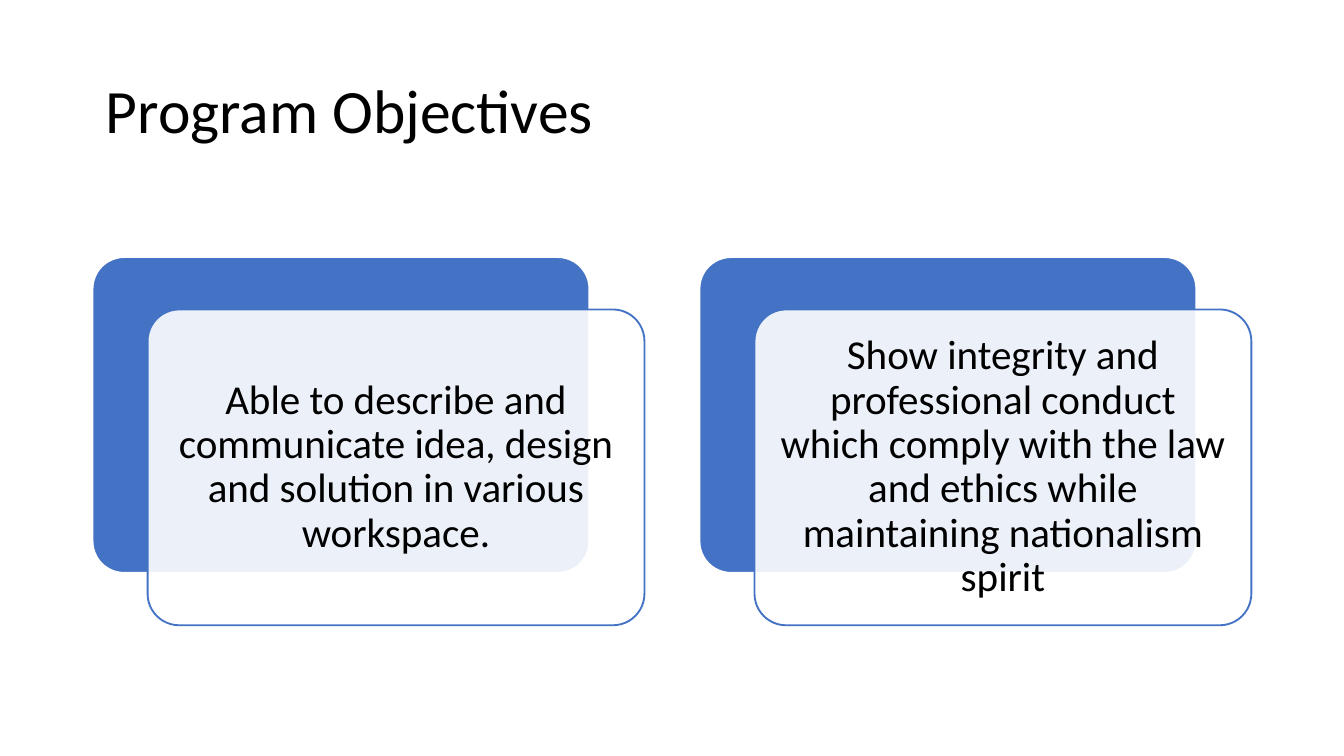
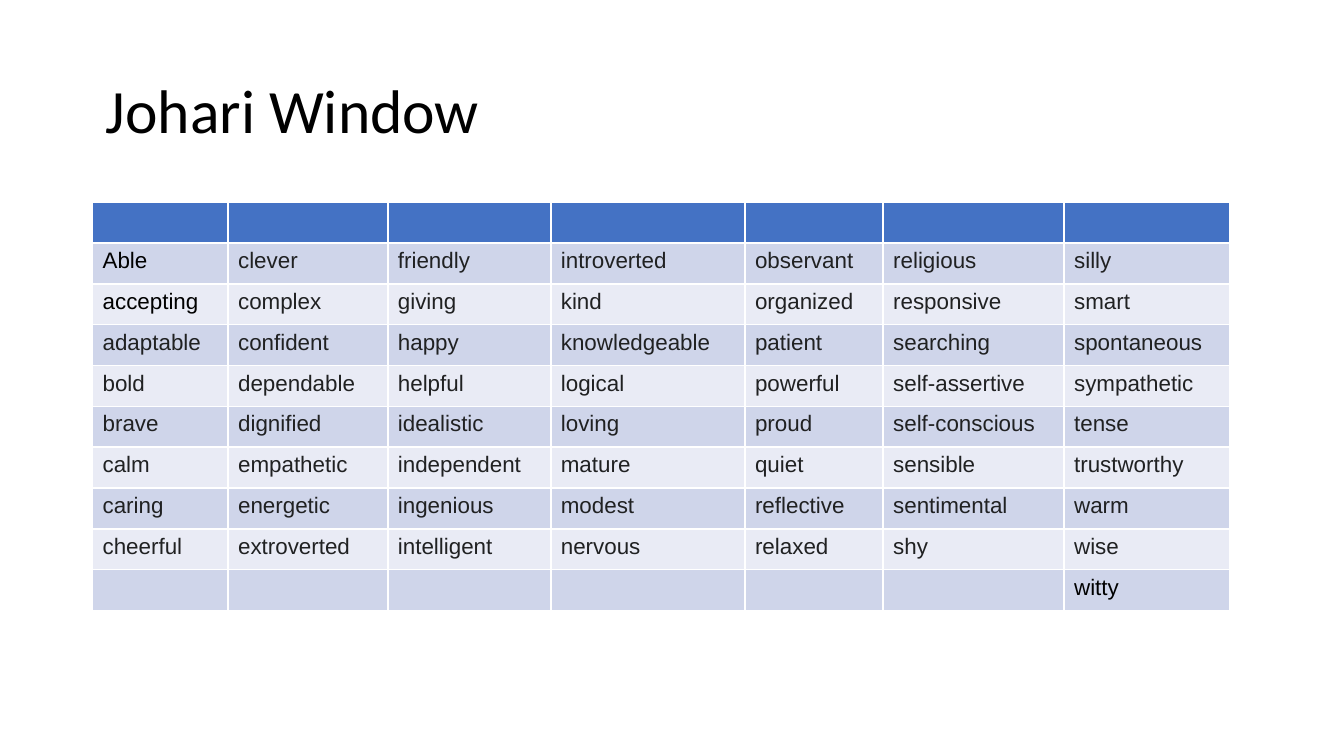
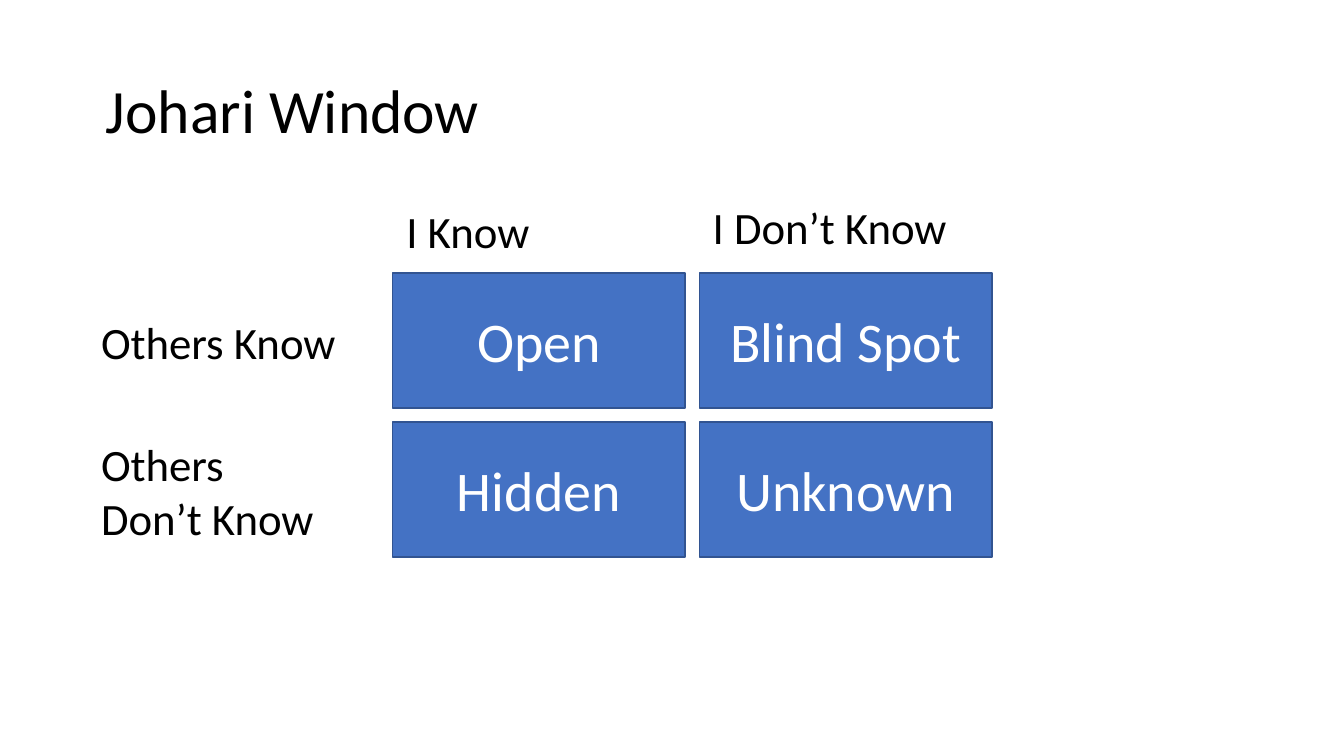
"""Build three slides on program objectives and the Johari window."""
import lxml.etree
import pptx
import pptx.dml.color
import pptx.enum.shapes
import pptx.enum.text
import pptx.oxml.ns
import pptx.util

Cm = pptx.util.Cm
Pt = pptx.util.Pt
qn = pptx.oxml.ns.qn
ALIGN = pptx.enum.text.PP_ALIGN
MIDDLE = pptx.enum.text.MSO_ANCHOR.MIDDLE
SHAPE = pptx.enum.shapes.MSO_SHAPE

BLUE, NAVY, WHITE, BLACK, INK = "4472C4", "325491", "FFFFFF", "000000", "202122"
BANDS = ("E9EBF5", "CFD5EA")

GOALS = (
    "Able to describe and communicate idea, design and solution in various workspace.",
    "Show integrity and professional conduct which comply with the law and ethics "
    "while maintaining nationalism spirit",
)
TRAITS = (
    "Able accepting adaptable bold brave calm caring cheerful",
    "clever complex confident dependable dignified empathetic energetic extroverted",
    "friendly giving happy helpful idealistic independent ingenious intelligent",
    "introverted kind knowledgeable logical loving mature modest nervous",
    "observant organized patient powerful proud quiet reflective relaxed",
    "religious responsive searching self-assertive self-conscious sensible sentimental shy",
    "silly smart spontaneous sympathetic tense trustworthy warm wise witty",
)
DARK = ("Able", "accepting", "witty")
WIDTHS = (2.56, 3.02, 3.08, 3.67, 2.61, 3.42, 3.14)
PANES = (("Open", "Blind Spot"), ("Hidden", "Unknown"))
LABELS = (
    ("I Know", 5.77, 0.07, 3.28),
    ("I Don’t Know", 11.56, 0, 5.51),
    ("Others Know", 0, 2.16, 5.26),
    ("Others\nDon’t Know", 0, 4.47, 5.26),
)


def tint(text):
    """Turn a hex string into a colour."""
    return pptx.dml.color.RGBColor.from_string(text)


def write(frame, text, size, hue=BLACK, face="Calibri", align=ALIGN.LEFT, lead=None):
    """Put text in a frame and format its runs."""
    frame.text = text
    for para in frame.paragraphs:
        para.alignment = align
        if lead:
            para.line_spacing = lead
        for run in para.runs:
            run.font.size = Pt(size)
            run.font.name = face
            run.font.color.rgb = tint(hue)


def pad(frame, side, edge):
    """Set the side margins and the top and bottom margins."""
    frame.margin_left = frame.margin_right = Cm(side)
    frame.margin_top = frame.margin_bottom = Cm(edge)


def add_page(deck, title):
    """Add a slide with the shared title style."""
    page = deck.slides.add_slide(deck.slide_layouts[5])
    head = page.shapes.title
    head.left, head.top, head.width, head.height = Cm(1.75), Cm(0.76), Cm(21.9), Cm(2.77)
    write(head.text_frame, title, 33, lead=0.9)
    head.text_frame.vertical_anchor = MIDDLE
    pad(head.text_frame, 0.25, 0.1)
    return page


def add_block(page, kind, box, fill, line):
    """Add a filled and outlined shape."""
    block = page.shapes.add_shape(kind, *map(Cm, box))
    block.shadow.inherit = False
    block.fill.solid()
    block.fill.fore_color.rgb = tint(fill)
    block.line.color.rgb = tint(line)
    block.line.width = Pt(1)
    return block


def add_text(page, box):
    """Add a wrapping text box and return its frame."""
    frame = page.shapes.add_textbox(*map(Cm, box)).text_frame
    frame.word_wrap = True
    return frame


def add_card(page, left, top, text):
    """Draw a blue card with a pale card set off in front of it."""
    wide, high, inset = 9.39, 5.97, 0.17
    back = add_block(page, SHAPE.ROUNDED_RECTANGLE, (left, top, wide, high), BLUE, WHITE)
    left, top = left + 1.04, top + 0.99
    front = add_block(page, SHAPE.ROUNDED_RECTANGLE, (left, top, wide, high), WHITE, BLUE)
    back.adjustments[0] = front.adjustments[0] = 0.1
    shade = front._element.spPr.find(qn("a:solidFill")).find(qn("a:srgbClr"))
    lxml.etree.SubElement(shade, qn("a:alpha"), val="90000")
    frame = add_text(page, (left + inset, top + inset, wide - 2 * inset, high - 2 * inset))
    write(frame, text, 22, align=ALIGN.CENTER, lead=0.9)
    frame.vertical_anchor = MIDDLE
    pad(frame, 0.27, 0.23)


def add_rules(cell):
    """Rule a cell in white on every side."""
    for side in ("lnL", "lnR", "lnT", "lnB"):
        rule = lxml.etree.SubElement(cell._tc.get_or_add_tcPr(), qn("a:" + side), w=str(Pt(1)))
        fill = lxml.etree.SubElement(rule, qn("a:solidFill"))
        lxml.etree.SubElement(fill, qn("a:srgbClr"), val=WHITE)


def add_grid(page, left, top):
    """Draw the banded table of traits under a blank header row."""
    lists = [names.split() for names in TRAITS]
    rows, high = max(map(len, lists)) + 1, 7.72
    frame = page.shapes.add_table(
        rows, len(lists), Cm(left), Cm(top), Cm(sum(WIDTHS)), Cm(high))
    table = frame.table
    for row in table.rows:
        row.height = Cm(high / rows)
    for col, names in enumerate(lists):
        table.columns[col].width = Cm(WIDTHS[col])
        for row in range(rows):
            cell = table.cell(row, col)
            add_rules(cell)
            cell.fill.solid()
            cell.fill.fore_color.rgb = tint(BANDS[row % 2] if row else BLUE)
            pad(cell, 0.19, 0.1)
            if 0 < row <= len(names):
                name = names[row - 1]
                write(cell.text_frame, name, 12, BLACK if name in DARK else INK, "Arial")
            else:
                para = cell.text_frame.paragraphs[0]._p
                lxml.etree.SubElement(para, qn("a:endParaRPr"), sz="1200")


def add_panes(page, left, top):
    """Draw the four panes of the window in a grid."""
    wide, high, gap = 5.53, 2.55, 0.27
    for row, names in enumerate(PANES):
        for col, name in enumerate(names):
            box = (left + col * (wide + gap), top + row * (high + gap), wide, high)
            pane = add_block(page, SHAPE.RECTANGLE, box, BLUE, NAVY)
            write(pane.text_frame, name, 30, WHITE, align=ALIGN.CENTER)
            pane.text_frame.vertical_anchor = MIDDLE


def add_labels(page, left, top):
    """Label the columns and rows of the window."""
    for text, right, down, wide in LABELS:
        high = 1.27 + 1.04 * text.count("\n")
        frame = add_text(page, (left + right, top + down, wide, high))
        frame.auto_size = pptx.enum.text.MSO_AUTO_SIZE.SHAPE_TO_FIT_TEXT
        write(frame, text, 24)


def main():
    """Build the deck and save it."""
    deck = pptx.Presentation()
    deck.slide_width, deck.slide_height = Cm(25.4), Cm(14.29)
    page = add_page(deck, "Program Objectives")
    for place, goal in enumerate(GOALS):
        add_card(page, 1.75 + 11.47 * place, 4.86, goal)
    page = add_page(deck, "Johari Window")
    add_grid(page, 1.75, 3.82)
    page = add_page(deck, "Johari Window")
    add_panes(page, 7.42, 5.16)
    add_labels(page, 1.66, 3.66)
    deck.save("out.pptx")


if __name__ == "__main__":
    main()
